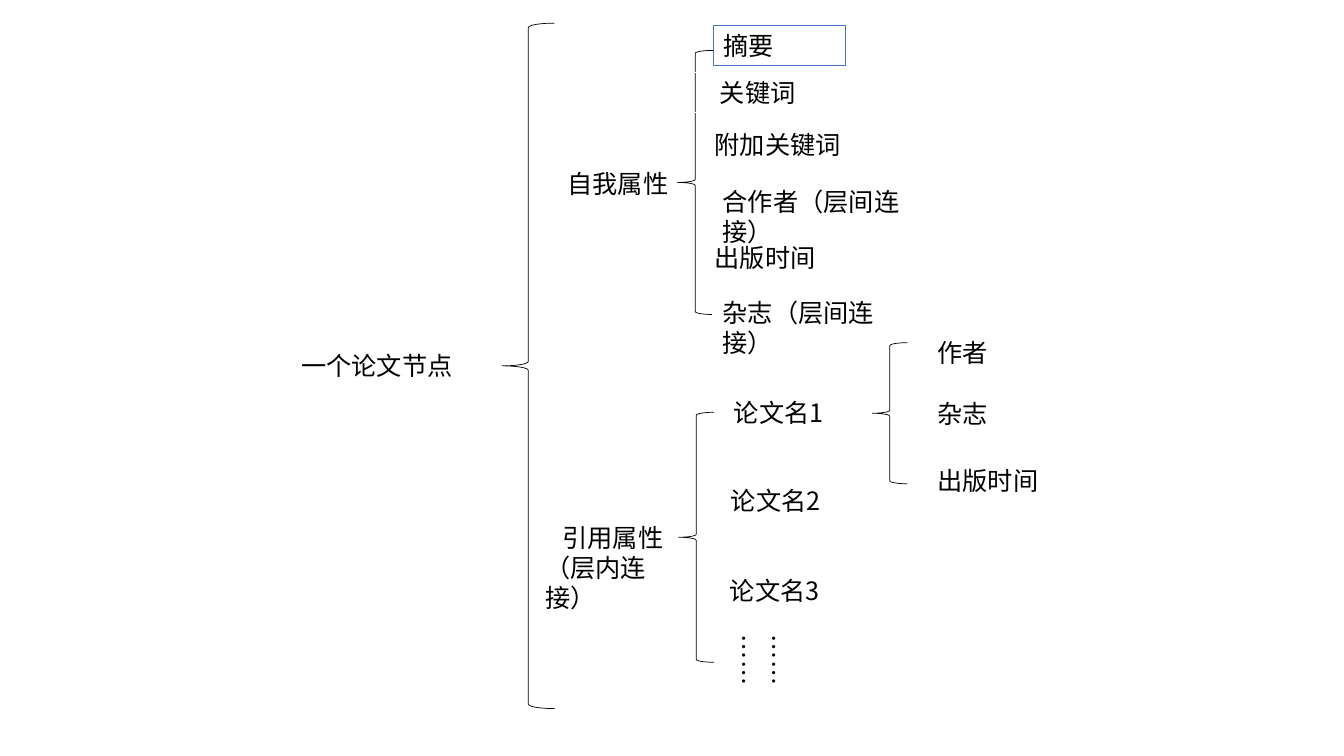
from pptx import Presentation
from pptx.dml.color import RGBColor
from pptx.enum.shapes import MSO_SHAPE as Kind
from pptx.enum.text import MSO_ANCHOR as Anchor, MSO_AUTO_SIZE as Fit, PP_ALIGN as Align
from pptx.oxml.ns import qn
from pptx.util import Inches, Pt
from lxml.etree import SubElement as sub

BLACK = RGBColor(0, 0, 0)
WHITE = RGBColor(255, 255, 255)
BLUE = RGBColor(0x44, 0x72, 0xC4)
FACE = "Noto Sans CJK SC"
ROW = 0.4

ROOT = [("一个论文节点", 2.89, 3.43, 2.06), ("自我属性", 5.53, 1.62, 1.59)]
CITE = ("引用属性\n（层内连接）", 5.31, 5.13, 1.47)
KEY = ("关键词", 6.78, 0.72, 1.47)
SELF = [("附加关键词", 6.99, 1.23, 1.47), ("杂志（层间连接）", 7.07, 2.9, 2.13)]
TOP = ("摘要", 7.08, 0.25, 1.31)
PAPERS = [("论文名1", 7.18, 3.89, 1.31), ("论文名2", 7.15, 4.77, 1.31),
          ("论文名3", 7.14, 5.66, 1.31)]
DOTS = ("…………", 7.38, 6.2, 0.5, 0.83)
PARTS = [("作者", 9.2, 3.3, 2.32), ("杂志", 9.2, 3.9, 2.32),
         ("出版时间", 9.2, 4.57, 2.32)]
LAST = [("出版时间", 6.99, 2.36, 2.32), ("合作者（层间连接）", 7.07, 1.8, 2.39)]

FRAME = {"word_wrap": True, "auto_size": Fit.SHAPE_TO_FIT_TEXT,
         "vertical_anchor": Anchor.TOP}
FONT = {"size": Pt(18), "name": FACE}

deck = Presentation()
deck.slide_width, deck.slide_height = Inches(13.33), Inches(7.5)
page = deck.slides.add_slide(deck.slide_layouts[6]).shapes


def style(item, values):
    for name, value in values.items():
        setattr(item, name, value)


def shape(kind, at, color, width):
    item = page.add_shape(kind, *map(Inches, at))
    item.shadow.inherit = False
    item.fill.background()
    item.line.color.rgb = color
    item.line.width = Pt(width)
    return item


def brace(*at):
    return shape(Kind.LEFT_BRACE, at, BLACK, 0.5)


def write(item, text, align=Align.LEFT):
    frame = item.text_frame
    style(frame, FRAME)
    frame.text = text
    for para in frame.paragraphs:
        para.alignment = align
        for run in para.runs:
            style(run.font, FONT)
            run.font.color.rgb = BLACK
            sub(run.font._element, qn("a:ea"), typeface=FACE)
    return frame


def label(text, left, top, width, high=ROW, color=WHITE, align=Align.LEFT):
    item = shape(Kind.RECTANGLE, (left, top, width, high), color, 0.75)
    return write(item, text, align)


def labels(rows):
    for row in rows:
        label(*row)


trunk = brace(4.98, 0.23, 0.52, 6.8)
trunk.fill.solid()
trunk.fill.fore_color.rgb = WHITE
labels(ROOT)
cite = label(*CITE, high=0.71)
cite.paragraphs[0]._p.get_or_add_pPr().set("marL", str(Inches(0.17)))
brace(6.72, 0.5, 0.35, 2.62)
label(*KEY, align=Align.CENTER)
labels(PAPERS[:1] + SELF)
brace(6.73, 4.09, 0.35, 2.48)
label(*TOP, color=BLUE)
labels(PAPERS[1:])
brace(8.65, 3.4, 0.35, 1.4)
text, *at = DOTS
dots = write(page.add_textbox(*map(Inches, at)), text)
dots._txBody.bodyPr.set("vert", "eaVert")
labels(PARTS + LAST)

deck.save("out.pptx")
